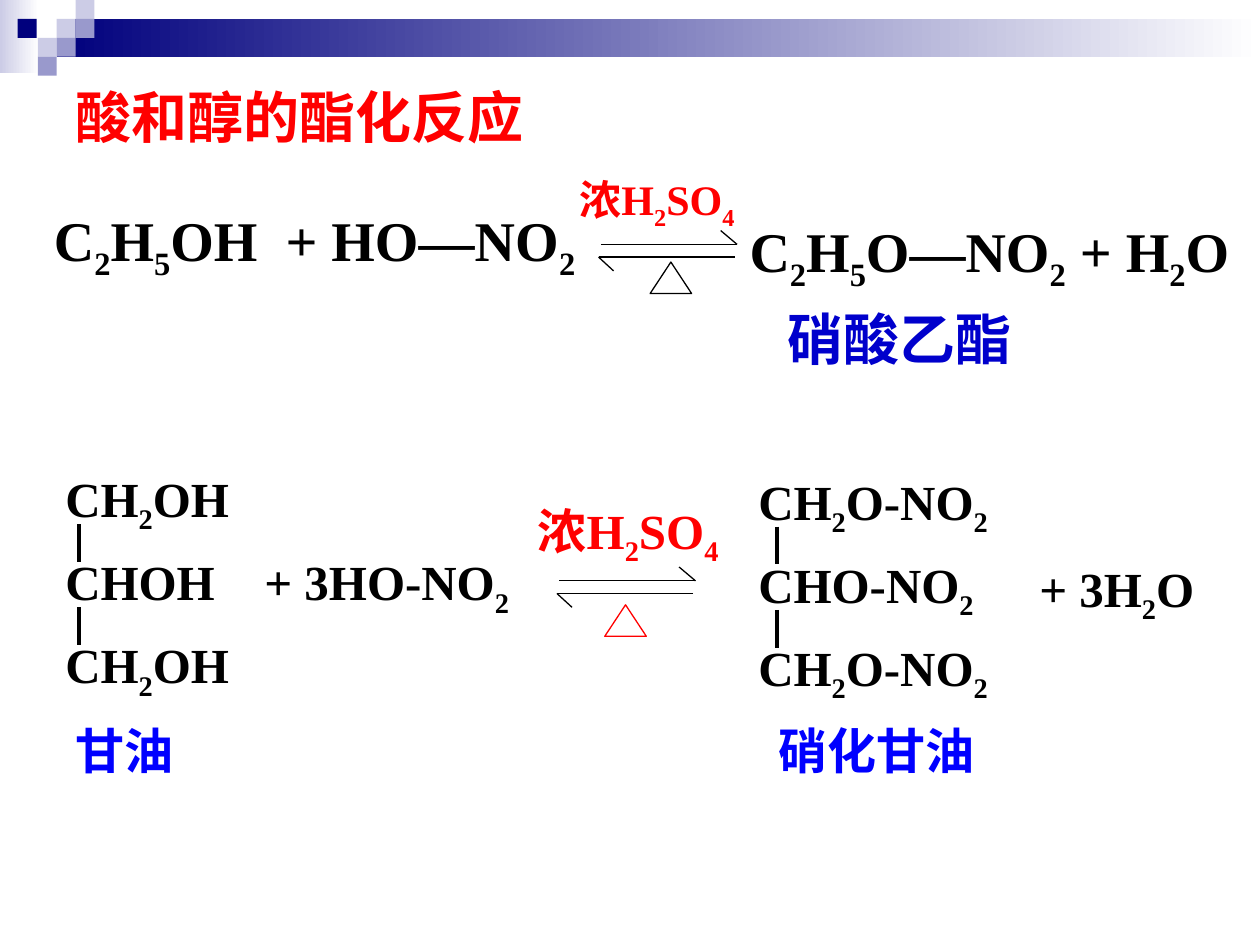
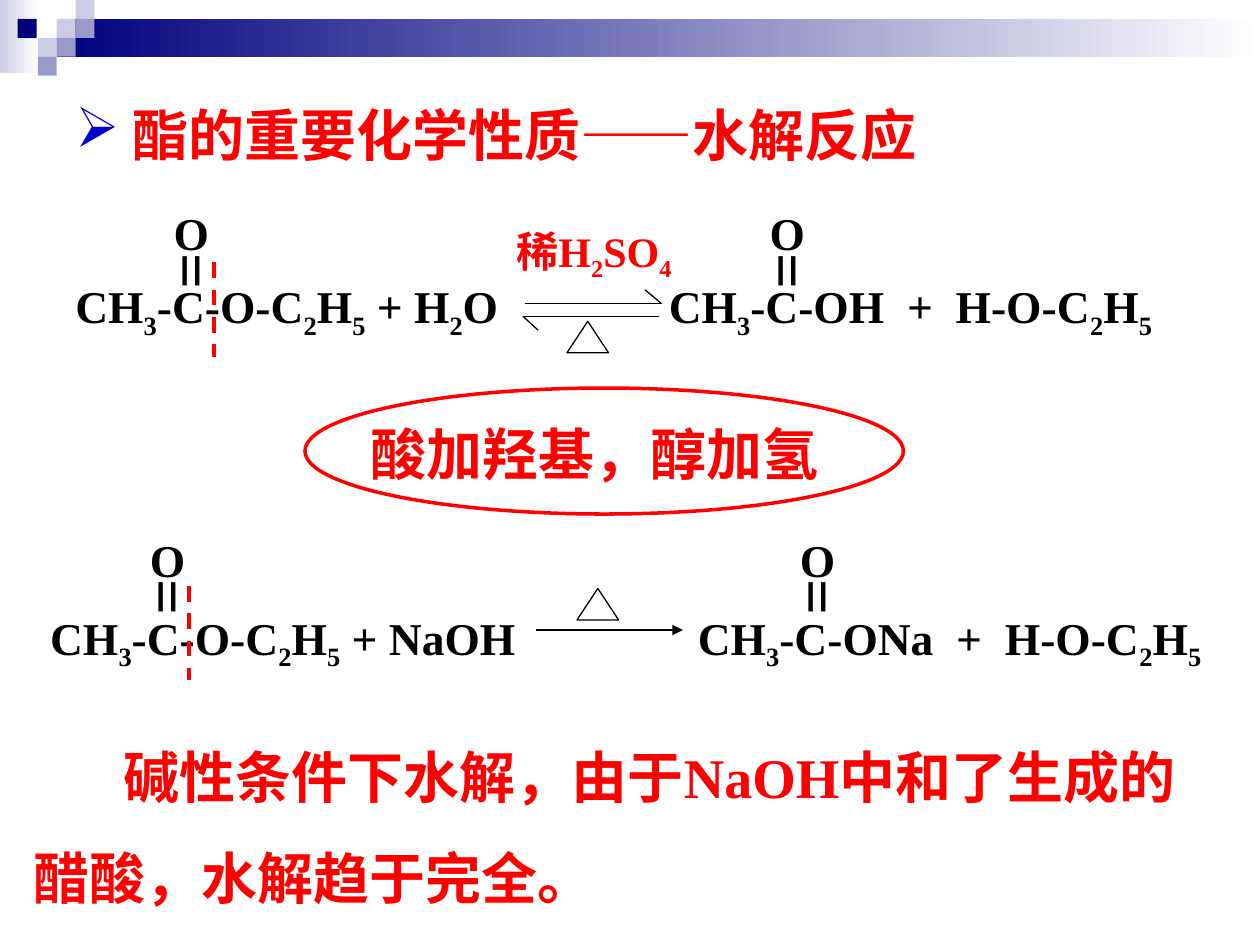
from lxml import etree
from pptx import Presentation
from pptx import util as u
from pptx.dml.color import RGBColor
from pptx.enum import dml, shapes, text
from pptx.oxml.ns import qn

PX = 9144  # EMU in one px, 100 px to the inch
BLACK = RGBColor(0, 0, 0)
WHITE = RGBColor(255, 255, 255)
RED = RGBColor(255, 0, 0)
BLUE = RGBColor(0, 0, 255)
DEEP = RGBColor(0, 0, 0xCC)
NAVY = RGBColor(0, 0, 0x7D)
LILAC = RGBColor(0xCC, 0xCC, 0xE6)
MAUVE = RGBColor(0x99, 0x99, 0xCC)
SERIF = "Times New Roman"
SANS = "Arial"


def px(*sizes):
    return [u.Emu(size * PX) for size in sizes]


def label(slide, box, words, size, color=BLACK, font=SERIF, wrap=True):
    """Add bold text; the character after each underscore is a subscript."""
    frame = slide.shapes.add_textbox(*px(*box)).text_frame
    frame.word_wrap = wrap
    para = frame.paragraphs[0]
    head, *tails = words.split("_")
    parts = [(head, False)]
    for tail in tails:
        parts += [(tail[0], True), (tail[1:], False)]
    for part, low in parts:
        if not part:
            continue
        run = para.add_run()
        run.text = part
        run.font.name = font
        run.font.size = u.Pt(size)
        run.font.bold = True
        run.font.color.rgb = color
        if low:
            run.font._element.set("baseline", "-25000")
    return frame


def indent(para, left, first):
    """Set left margin and first-line indent in px; return the properties."""
    props = para._p.get_or_add_pPr()
    props.set("marL", str(left * PX))
    props.set("indent", str(first * PX))
    return props


def bullet(para, char, color):
    props = indent(para, 45, -45)
    tint = etree.SubElement(props, qn("a:buClr"))
    etree.SubElement(tint, qn("a:srgbClr")).set("val", str(color))
    etree.SubElement(props, qn("a:buChar")).set("char", char)


def figure(slide, kind, box, fill=None, edge=None, width=0.75):
    shape = slide.shapes.add_shape(kind, *px(*box))
    shape.shadow.inherit = False
    if fill is None:
        shape.fill.background()
    else:
        shape.fill.solid()
        shape.fill.fore_color.rgb = fill
    if edge is None:
        shape.line.fill.background()
    else:
        shape.line.color.rgb = edge
        shape.line.width = u.Pt(width)
    return shape


def fade(slide, box, color):
    """Add a rectangle that fades to white from left to right."""
    fill = figure(slide, shapes.MSO_SHAPE.RECTANGLE, box).fill
    fill.gradient()
    fill.gradient_angle = 0
    for stop, tint, place in zip(fill.gradient_stops, (color, WHITE), (0, 1)):
        stop.color.rgb = tint
        stop.position = place


def line(slide, start, end, color=BLACK, width=0.75, dash=None, arrow=False):
    link = slide.shapes.add_connector(
        shapes.MSO_CONNECTOR.STRAIGHT, *px(*start, *end))
    link.line.color.rgb = color
    link.line.width = u.Pt(width)
    if dash:
        link.line.dash_style = dash
    if arrow:
        tip = etree.SubElement(link.line._get_or_add_ln(), qn("a:tailEnd"))
        tip.set("type", "triangle")
    etree.SubElement(link._element.spPr, qn("a:effectLst"))


def heat(slide, x, y, color=BLACK):
    """Add the triangle that stands for heating."""
    figure(slide, shapes.MSO_SHAPE.ISOSCELES_TRIANGLE, (x, y, 33, 25),
           WHITE, color)


def harpoons(slide, x, y):
    """Add the pair of half arrows of a reversible reaction."""
    line(slide, (x, y), (x + 108, y))
    line(slide, (x + 95, y - 11), (x + 108, y))
    line(slide, (x + 106, y + 10), (x - 2, y + 10))
    line(slide, (x + 10, y + 21), (x - 2, y + 10))


def chain(slide, x, y, width, bond, groups):
    """Stack groups of atoms, joined by upright bonds."""
    step = 66
    for row, group in enumerate(groups):
        top = y + row * step
        label(slide, (x, top, width, 63), group, 28)
        if row:
            line(slide, (x + bond, top - 17), (x + bond, top + 13), width=2.25)


def ketone(slide, x, y):
    """Add an oxygen with a double bond below it."""
    frame = label(slide, (x - 18, y + 33, 80, 42), "=", 36)
    frame._txBody.bodyPr.set("vert", "eaVert")
    frame.margin_left = frame.margin_right = u.Inches(0.05)
    frame.margin_top = frame.margin_bottom = u.Inches(0.1)
    label(slide, (x, y, 48, 54), "O", 26, wrap=False)


def cut(slide, x, y):
    """Mark the bond that breaks."""
    line(slide, (x, y), (x, y + 75), RED, 2.25, dml.MSO_LINE.DASH)


def banner(slide):
    fade(slide, (0, 0, 31, 58), LILAC)
    fade(slide, (45, 15, 955, 30), NAVY)
    tiles = [(45, 15, LILAC), (60, 0, LILAC), (60, 15, MAUVE),
             (30, 30, LILAC), (14, 15, NAVY), (45, 30, MAUVE),
             (30, 45, MAUVE)]
    for x, y, color in tiles:
        figure(slide, shapes.MSO_SHAPE.RECTANGLE, (x, y, 15, 15), color)


def nitrate(slide):
    title = label(slide, (42, 67, 392, 50), "酸和醇的酯化反应", 32, RED, SANS)
    title.vertical_anchor = text.MSO_ANCHOR.MIDDLE
    title.paragraphs[0].alignment = text.PP_ALIGN.CENTER

    label(slide, (33, 158, 525, 71), "C_2H_5OH  + HO—NO_2", 32)
    label(slide, (450, 133, 167, 56), "浓H_2SO_4", 24, RED)
    harpoons(slide, 477, 194)
    heat(slide, 516, 208)
    label(slide, (585, 167, 415, 71), "C_2H_5O—NO_2 + H_2O", 32)
    label(slide, (615, 237, 235, 64), "硝酸乙酯", 32, DEEP)

    chain(slide, 42, 367, 155, 21, ["CH_2OH", "CHOH", "CH_2OH"])
    label(slide, (200, 433, 225, 63), "+ 3HO-NO_2", 28)
    label(slide, (417, 392, 208, 63), "浓H_2SO_4", 28, RED)
    harpoons(slide, 444, 461)
    heat(slide, 480, 480, RED)
    chain(slide, 592, 369, 256, 25, ["CH_2O-NO_2", "CHO-NO_2", "CH_2O-NO_2"])
    label(slide, (815, 438, 158, 63), "+ 3H_2O", 28)
    label(slide, (50, 567, 108, 57), "甘油", 28, BLUE)
    label(slide, (608, 567, 183, 57), "硝化甘油", 28, BLUE)


def water(slide):
    title = label(slide, (50, 75, 808, 64), "酯的重要化学性质——水解反应",
                  32, RED, SANS)
    bullet(title.paragraphs[0], "➢", DEEP)

    label(slide, (50, 216, 380, 57), "CH_3-C-O-C_2H_5 + H_2O", 26)
    label(slide, (400, 174, 167, 56), "稀H_2SO_4", 24, RED)
    harpoons(slide, 417, 241)
    heat(slide, 450, 255)
    label(slide, (521, 216, 430, 57), "CH_3-C-OH  +  H-O-C_2H_5", 26)

    label(slide, (30, 479, 400, 57), "CH_3-C-O-C_2H_5 + NaOH", 26)
    heat(slide, 458, 467)
    line(slide, (425, 500), (542, 500), arrow=True)
    label(slide, (544, 479, 450, 57), "CH_3-C-ONa  +  H-O-C_2H_5", 26)

    for x, y in [(128, 158), (601, 158), (109, 417), (625, 417)]:
        ketone(slide, x, y)
    cut(slide, 170, 208)
    cut(slide, 150, 465)

    label(slide, (284, 328, 400, 64), "酸加羟基，醇加氢", 32, RED, SANS)
    figure(slide, shapes.MSO_SHAPE.OVAL, (242, 308, 475, 100),
           edge=RED, width=2)
    note = label(slide, (17, 558, 942, 170),
                 "碱性条件下水解，由于NaOH中和了生成的醋酸，水解趋于完全。",
                 32, RED)
    note.paragraphs[0].line_spacing = 1.5
    indent(note.paragraphs[0], 0, 71)


def main():
    deck = Presentation()
    deck.slide_width, deck.slide_height = px(1000, 750)
    for draw in (nitrate, water):
        slide = deck.slides.add_slide(deck.slide_layouts[6])
        banner(slide)
        draw(slide)
    deck.save("out.pptx")


if __name__ == "__main__":
    main()
